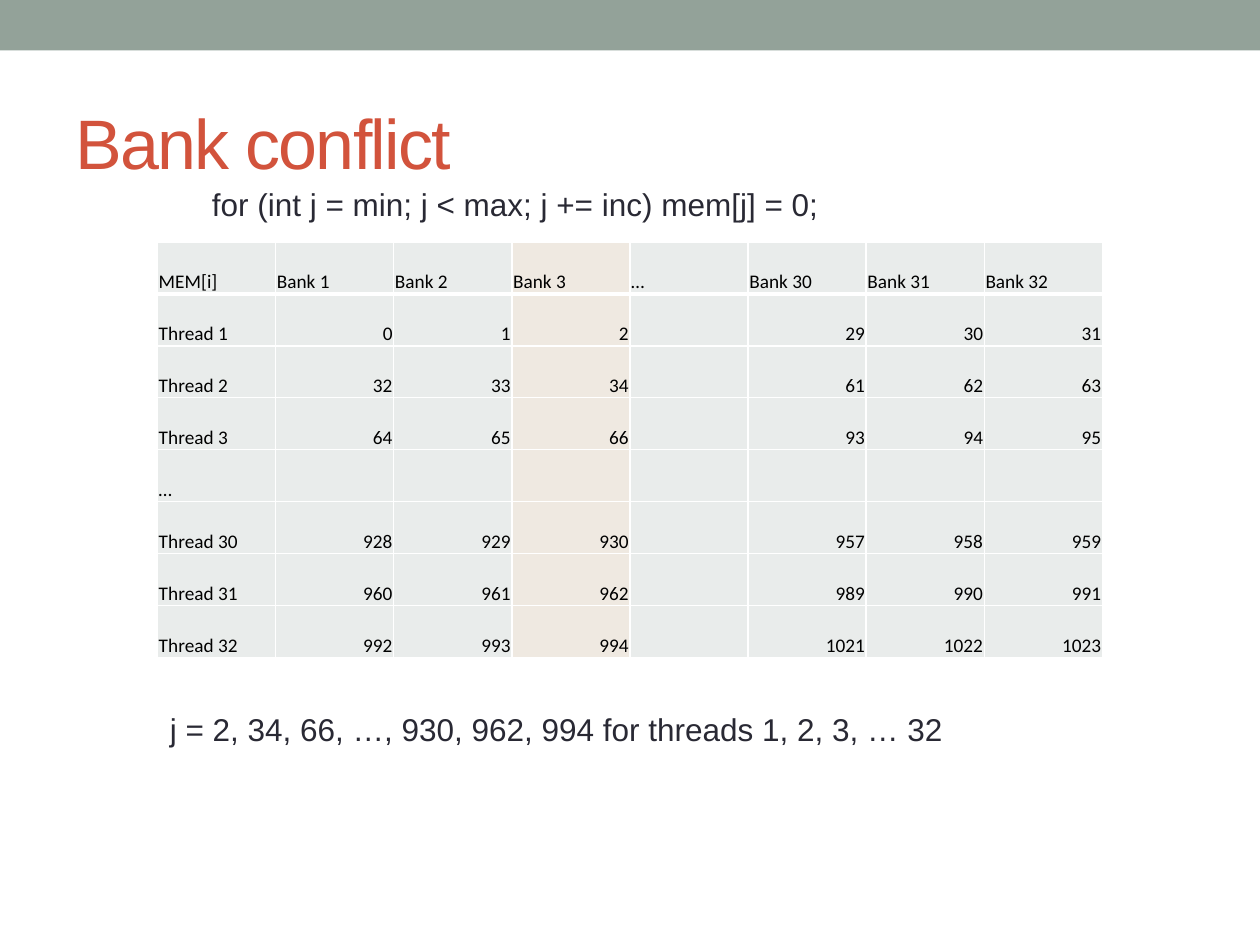
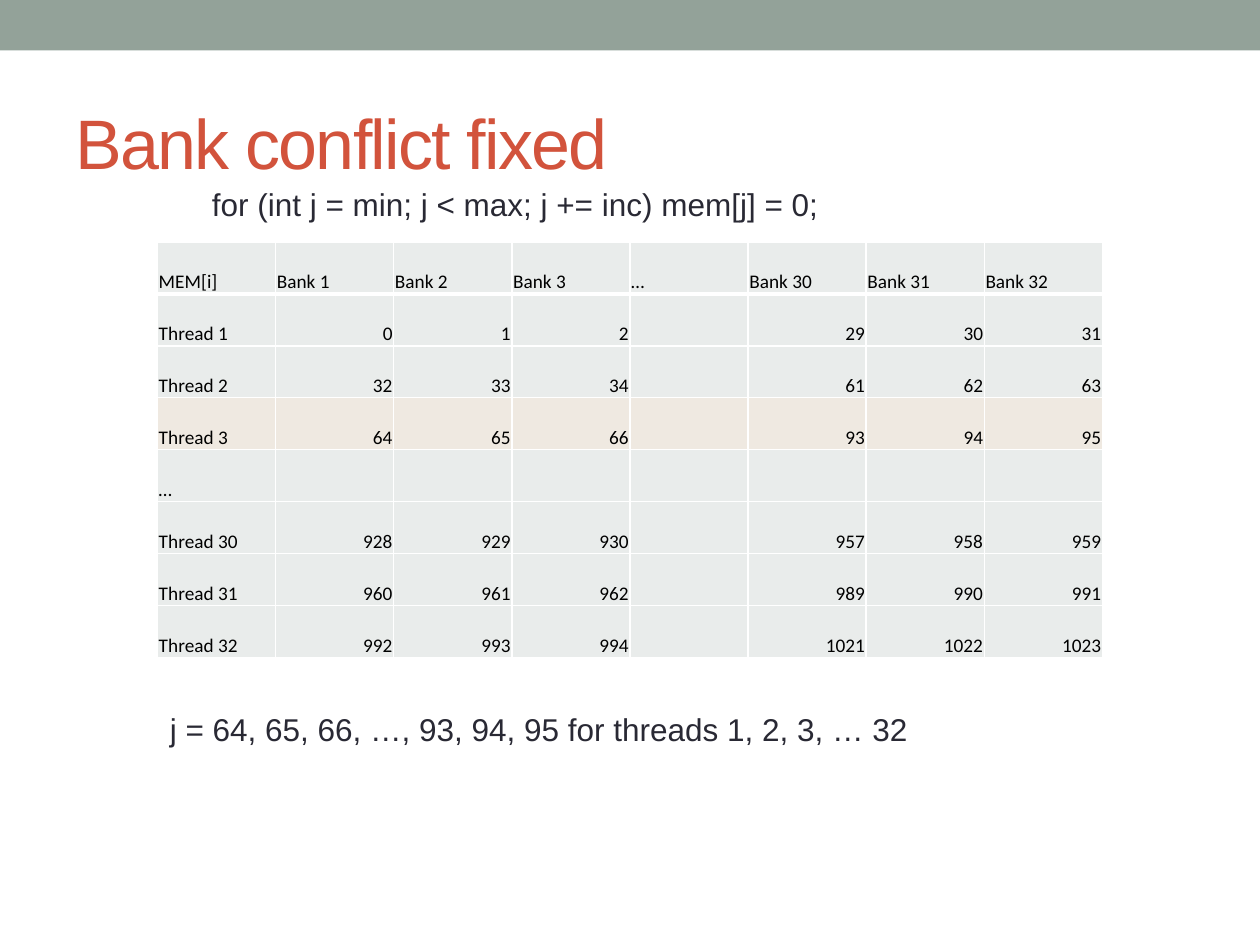
from lxml import etree
from pptx import Presentation
from pptx.dml.color import RGBColor
from pptx.enum import shapes, text
from pptx.oxml.ns import qn
from pptx.util import Pt

BAND, TITLE, BODY, BLACK = "93A299", "D2533C", "292934", "000000"
CELL, HIGHLIGHT, BORDER = "E9ECEB", "EFE9E1", "FFFFFF"
BANKS = THREADS = [1, 2, 3, "…", 30, 31, 32]
BANK_COUNT = 32
LOOP = "for (int j = min; j < max; j += inc) mem[j] = 0;"


def rgb(value):
    return RGBColor.from_string(value)


def add_run(p, content, size, color, font="Arial"):
    r = p.add_run()
    r.text = content
    r.font.size = Pt(size)
    r.font.name = font
    r.font.color.rgb = rgb(color)
    return r


def add_text(s, box, content, size=18, color=BODY, anchor=text.MSO_ANCHOR.TOP):
    tf = s.shapes.add_textbox(*map(Pt, box)).text_frame
    tf.word_wrap = True
    tf.vertical_anchor = anchor
    return add_run(tf.paragraphs[0], content, size, color)


def add_band(s, box):
    sp = s.shapes.add_shape(shapes.MSO_SHAPE.RECTANGLE, *map(Pt, box))
    sp.shadow.inherit = False
    sp.fill.solid()
    sp.fill.fore_color.rgb = rgb(BAND)
    sp.line.fill.background()


def add_title(s, box, content):
    r = add_text(s, box, content, 40, TITLE, text.MSO_ANCHOR.MIDDLE)
    r.font._element.set("spc", "-100")


def set_borders(cell, bottom):
    tcPr = cell._tc.get_or_add_tcPr()
    for side, width in (("L", 1), ("R", 1), ("T", 1), ("B", bottom)):
        ln = etree.SubElement(tcPr, qn(f"a:ln{side}"), w=str(Pt(width)))
        fill = etree.SubElement(ln, qn("a:solidFill"))
        etree.SubElement(fill, qn("a:srgbClr"), val=BORDER)


def memory_rows():
    """Header row, then the memory index that each thread finds in each bank."""
    yield ["MEM[i]"] + [b if b == "…" else f"Bank {b}" for b in BANKS]
    for t in THREADS:
        if t == "…":
            yield [t] + [""] * len(BANKS)
        else:
            yield [f"Thread {t}"] + [
                "" if b == "…" else str(BANK_COUNT * (t - 1) + b - 1) for b in BANKS]


def add_memory_table(s, box, is_highlighted):
    rows = list(memory_rows())
    left, top, width, height = box
    frame = s.shapes.add_table(len(rows), len(rows[0]), *map(Pt, box))
    table = frame.table
    for column in table.columns:
        column.width = Pt(width / len(rows[0]))
    for i, values in enumerate(rows):
        table.rows[i].height = Pt(height / len(rows))
        for j, value in enumerate(values):
            cell = table.cell(i, j)
            set_borders(cell, bottom=3 if i == 0 else 1)
            cell.fill.solid()
            cell.fill.fore_color.rgb = rgb(HIGHLIGHT if is_highlighted(i, j) else CELL)
            cell.margin_left = cell.margin_right = cell.margin_top = Pt(0.72)
            cell.margin_bottom = 0
            cell.vertical_anchor = text.MSO_ANCHOR.BOTTOM
            p = cell.text_frame.paragraphs[0]
            if i and j:
                p.alignment = text.PP_ALIGN.RIGHT
            if value:
                r = add_run(p, value, 11, BLACK, "Calibri")
                r.font.bold = False


def add_bank_slide(prs, title, indices, is_highlighted):
    s = prs.slides.add_slide(prs.slide_layouts[6])
    add_band(s, (0, 0, 720, 28.8))
    add_memory_table(s, (90, 138.24, 540, 237.6), is_highlighted)
    add_title(s, (36, 42, 648, 78), title)
    add_text(s, (114, 102, 504, 30), LOOP)
    add_text(s, (90, 402, 516, 29), f"j = {indices} for threads 1, 2, 3, … 32")


def main():
    prs = Presentation()
    prs.slide_width, prs.slide_height = Pt(720), Pt(540)
    add_bank_slide(prs, "Bank conflict", "2, 34, 66, …, 930, 962, 994",
                   lambda row, column: column == 3)
    add_bank_slide(prs, "Bank conflict fixed", "64, 65, 66, …, 93, 94, 95",
                   lambda row, column: row == 3)
    prs.save("out.pptx")


if __name__ == "__main__":
    main()
